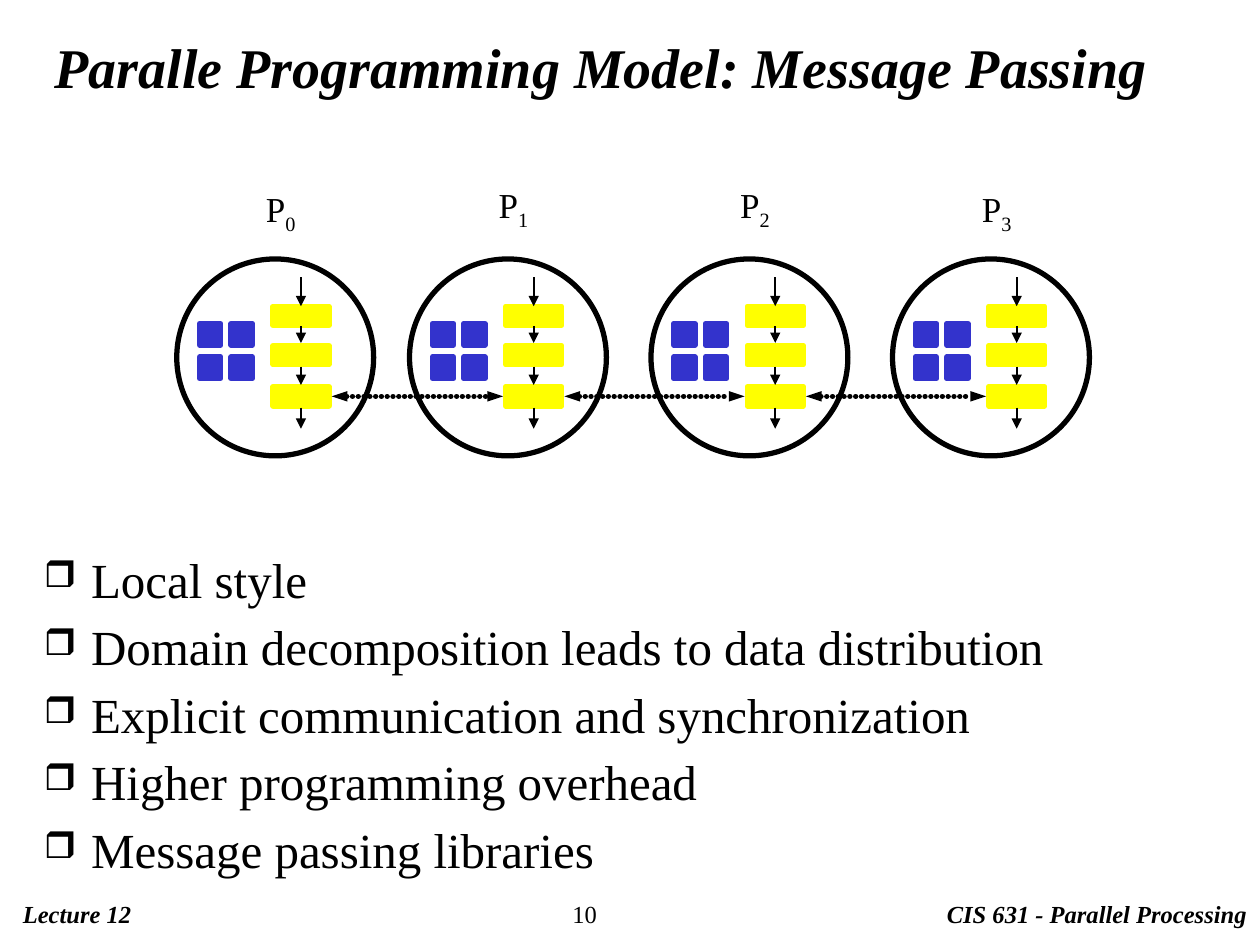
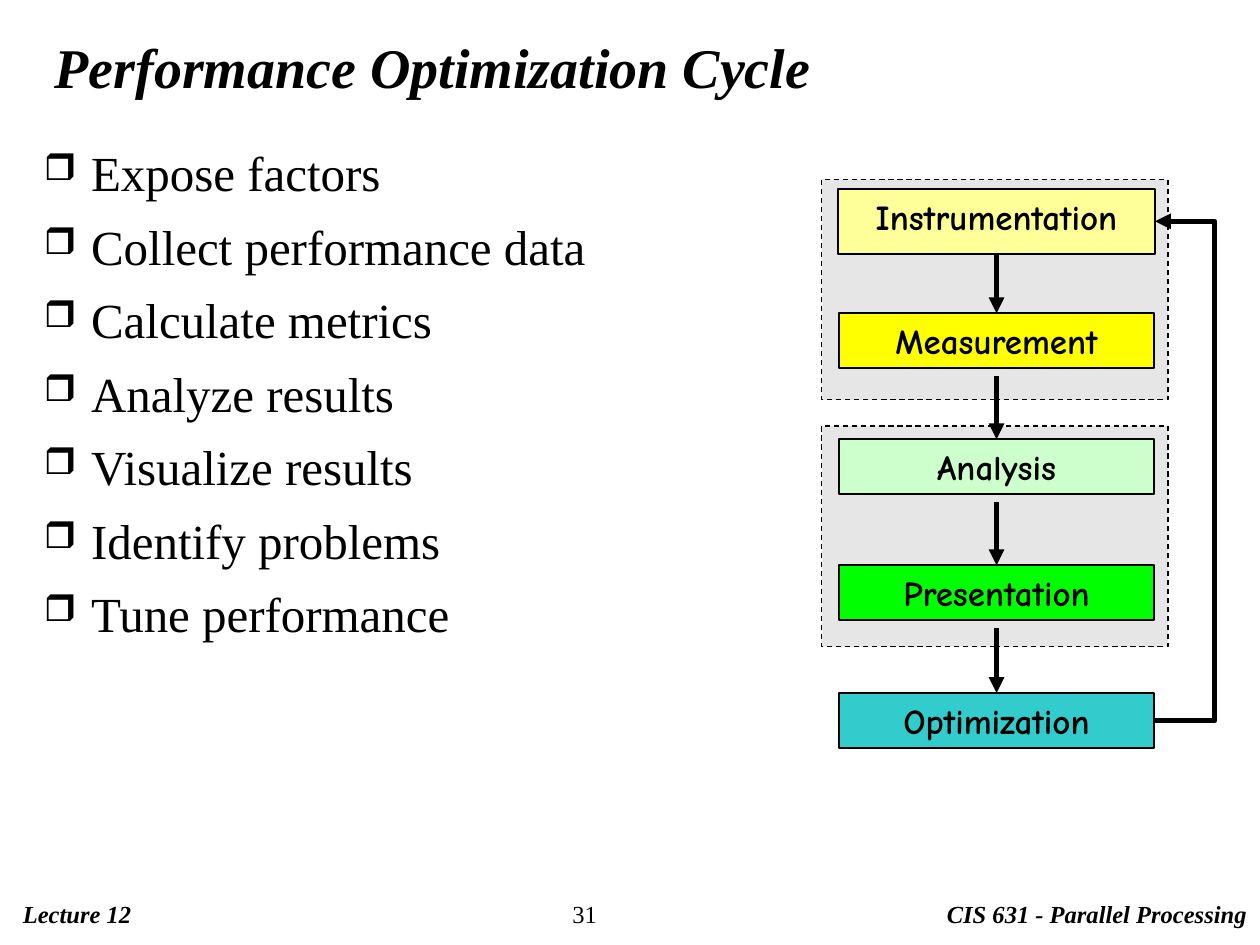
from lxml.etree import SubElement
from pptx import Presentation
from pptx.dml.color import RGBColor
from pptx.enum.dml import MSO_LINE
from pptx.enum.shapes import MSO_CONNECTOR, MSO_SHAPE
from pptx.enum.text import MSO_ANCHOR, PP_ALIGN
from pptx.oxml.ns import qn
from pptx.util import Pt

COLORS = {
    "black": "000000", "white": "FFFFFF", "yellow": "FFFF00", "blue": "3333CC",
    "grey": "E6E6E6", "cream": "FFFF99", "mint": "CCFFCC", "green": "00FF00",
    "teal": "33CCCC",
}
SERIF = "Times New Roman"
TITLE = {"name": SERIF, "size": Pt(32), "bold": True, "italic": True}
FOOTER = {"name": SERIF, "size": Pt(14), "bold": True, "italic": True}
NUMBER = {"name": SERIF, "size": Pt(14), "bold": False, "italic": False}
BODY = {"name": SERIF, "size": Pt(28)}
LABEL = {"name": SERIF, "size": Pt(20)}
STAGE = {"name": "Comic Neue", "size": Pt(20), "bold": True}


def add_run(paragraph, text, font_format):
    run = paragraph.add_run()
    run.text = text
    run.font.color.rgb = RGBColor.from_string(COLORS["black"])
    for attribute, value in font_format.items():
        setattr(run.font, attribute, value)
    return run


def add_block(slide, kind, frame, fill, line, width):
    shape = slide.shapes.add_shape(kind, *[Pt(length) for length in frame])
    shape.shadow.inherit = False
    shape.fill.solid()
    shape.fill.fore_color.rgb = RGBColor.from_string(COLORS[fill])
    shape.line.color.rgb = RGBColor.from_string(COLORS[line])
    shape.line.width = Pt(width)
    return shape


presentation = Presentation()
presentation.slide_width, presentation.slide_height = Pt(720), Pt(540)

# Title, bullets and footer of each slide
pages = [
    {"title": "Paralle Programming Model: Message Passing", "number": "10",
     "top": 314, "height": 196, "spacing": 0.9,
     "bullets": ["Local style", "Domain decomposition leads to data distribution",
                 "Explicit communication and synchronization",
                 "Higher programming overhead", "Message passing libraries"]},
    {"title": "Performance Optimization Cycle", "number": "31",
     "top": 78, "height": 432, "spacing": 1.0,
     "bullets": ["Expose factors", "Collect performance data", "Calculate metrics",
                 "Analyze results", "Visualize results", "Identify problems",
                 "Tune performance"]},
]
slides = []
for page in pages:
    slide = presentation.slides.add_slide(presentation.slide_layouts[5])
    slides.append(slide)

    title = slide.shapes.title
    title.left, title.top, title.width, title.height = Pt(24), Pt(20), Pt(678), Pt(36)
    title.text_frame.vertical_anchor = MSO_ANCHOR.MIDDLE
    title.text_frame.paragraphs[0].alignment = PP_ALIGN.LEFT
    add_run(title.text_frame.paragraphs[0], page["title"], TITLE)

    footers = [
        (534, 186, "CIS 631 - Parallel Processing", FOOTER),
        (6, 300, "Lecture 12", FOOTER),
        (320, 73, page["number"], NUMBER),
    ]
    for left, width, text, font_format in footers:
        footer = slide.shapes.add_textbox(Pt(left), Pt(510), Pt(width), Pt(24))
        footer.text_frame.word_wrap = True
        add_run(footer.text_frame.paragraphs[0], text, font_format)

    body = slide.shapes.add_textbox(Pt(18), Pt(page["top"]), Pt(690), Pt(page["height"]))
    body.text_frame.word_wrap = True
    for index, text in enumerate(page["bullets"]):
        paragraph = body.text_frame.paragraphs[0] if index == 0 else body.text_frame.add_paragraph()
        paragraph.line_spacing = page["spacing"]
        paragraph.space_before = Pt(8.4)
        properties = paragraph._p.get_or_add_pPr()
        properties.set("marL", str(Pt(27)))
        properties.set("indent", str(-Pt(27)))
        SubElement(properties, qn("a:buSzPct"), val="75000")
        SubElement(properties, qn("a:buChar"), char="❒")
        add_run(paragraph, text, BODY)

message_slide, cycle_slide = slides
# Each line: slide, kind, start, end, width, dotted
lines = []

# Processes: circle, three steps, four data cells, label
process_lefts = [101, 234, 372, 510]
step_tops = [175, 197.5, 221]
step_arrows = [(158.5, 175), (186.5, 196), (209.5, 220), (233, 245)]
for index, left in enumerate(process_lefts):
    add_block(message_slide, MSO_SHAPE.OVAL, (left, 148, 112.5, 112.5), "white", "black", 3)
    for top in step_tops:
        add_block(message_slide, MSO_SHAPE.RECTANGLE, (left + 55, top, 32, 11),
                  "yellow", "yellow", 3)
    for start, end in step_arrows:
        lines.append((message_slide, MSO_CONNECTOR.STRAIGHT,
                      (left + 71, start), (left + 71, end), 1, False))
    for row in range(2):
        for column in range(2):
            frame = (left + 13 + 18 * column, 185 + 19 * row, 12.25, 12.25)
            add_block(message_slide, MSO_SHAPE.RECTANGLE, frame, "blue", "blue", 3)

    label_top = 103.5 if index in (0, 3) else 101.5
    label = message_slide.shapes.add_textbox(Pt(left + 43), Pt(label_top), Pt(33), Pt(34.5))
    label.text_frame.word_wrap = False
    label.text_frame.vertical_anchor = MSO_ANCHOR.MIDDLE
    paragraph = label.text_frame.paragraphs[0]
    paragraph.alignment = PP_ALIGN.CENTER
    add_run(paragraph, "P", LABEL)
    subscript = add_run(paragraph, str(index), LABEL)
    subscript.font._element.set("baseline", "-25000")

# Messages between neighbouring processes
for left, next_left in zip(process_lefts, process_lefts[1:]):
    lines.append((message_slide, MSO_CONNECTOR.STRAIGHT,
                  (left + 88.5, 226.5), (next_left + 53.5, 226.5), 3, True))

# Dashed frames around pairs of stages
for top in (243.5, 102.5):
    pair = add_block(cycle_slide, MSO_SHAPE.RECTANGLE, (469.5, top, 198, 126),
                     "grey", "black", 0.75)
    pair.line.dash_style = MSO_LINE.DASH

# Stages of the cycle
stages = [
    ("Instrumentation", (479, 108, 181, 37), "cream"),
    ("Measurement", (479.5, 179, 180, 31.5), "yellow"),
    ("Analysis", (479.5, 251, 180, 31.5), "mint"),
    ("Presentation", (479.5, 323, 180, 31.5), "green"),
    ("Optimization", (479.5, 396, 180, 31.5), "teal"),
]
stage_shapes = []
for text, frame, fill in stages:
    stage = add_block(cycle_slide, MSO_SHAPE.RECTANGLE, frame, fill, "black", 1)
    stage.text_frame.word_wrap = True
    stage.text_frame.vertical_anchor = MSO_ANCHOR.TOP
    stage.text_frame.paragraphs[0].alignment = PP_ALIGN.CENTER
    add_run(stage.text_frame.paragraphs[0], text, STAGE)
    stage_shapes.append(stage)
for start, end in [(145, 179), (215, 251), (287, 323), (359, 396)]:
    lines.append((cycle_slide, MSO_CONNECTOR.STRAIGHT, (569.5, start), (569.5, end), 3, False))
lines.append((cycle_slide, MSO_CONNECTOR.ELBOW, (659.5, 411.75), (660, 126.5), 3, False))

# Draw all lines and arrows
for slide, kind, start, end, width, dotted in lines:
    connector = slide.shapes.add_connector(kind, *[Pt(length) for length in start + end])
    connector.line.color.rgb = RGBColor.from_string(COLORS["black"])
    connector.line.width = Pt(width)
    outline = connector.line._get_or_add_ln()
    if dotted:
        outline.set("cap", "rnd")
        dashes = SubElement(outline, qn("a:custDash"))
        SubElement(dashes, qn("a:ds"), d="100000", sp="10000")
        SubElement(outline, qn("a:headEnd"), type="triangle", w="sm", len="med")
    SubElement(outline, qn("a:tailEnd"), type="triangle", w="sm" if dotted else "med", len="med")
    SubElement(connector._element.spPr, qn("a:effectLst"))

# Feedback from the last stage to the first, 34 points out to the right
connector.begin_connect(stage_shapes[-1], 3)
connector.end_connect(stage_shapes[0], 3)
geometry = connector._element.spPr.find(qn("a:prstGeom"))
adjustments = geometry.get_or_add_avLst()
SubElement(adjustments, qn("a:gd"), name="adj1", fmla="val 6800000")

presentation.save("out.pptx")
